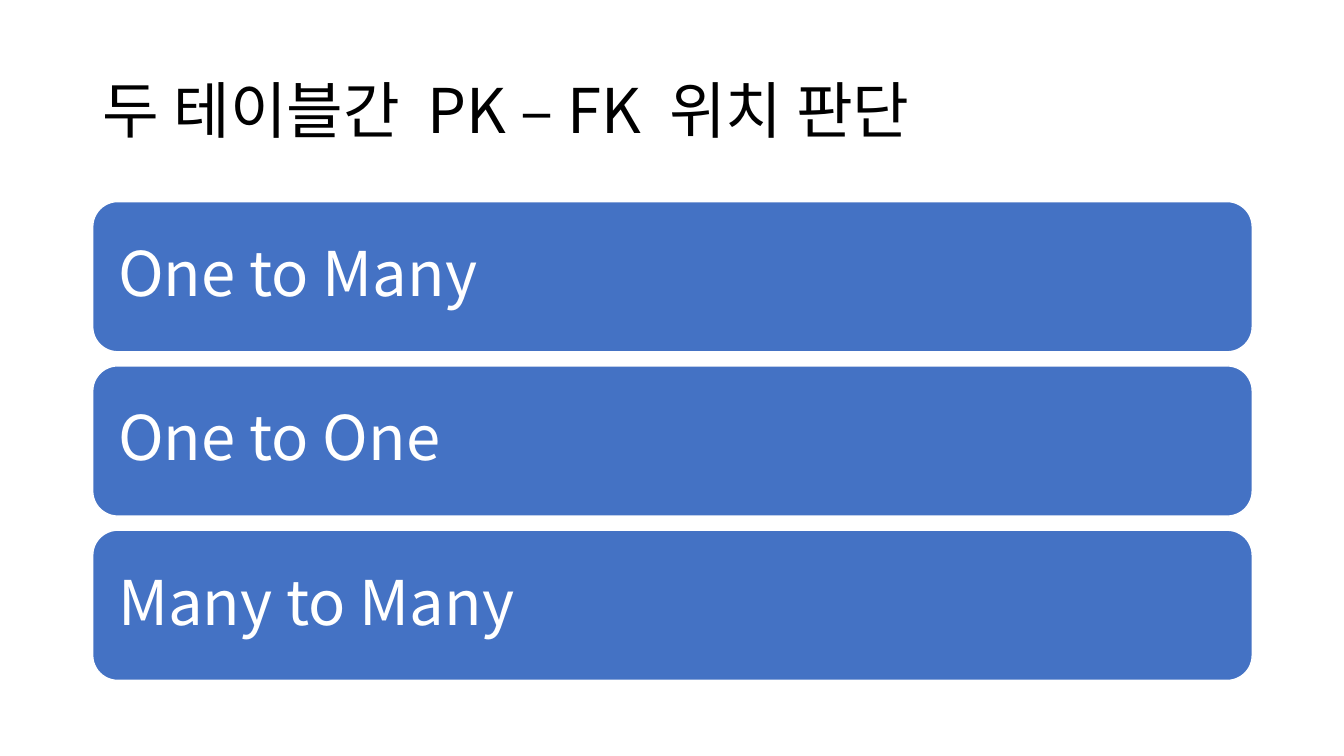
from pptx import Presentation
from pptx.dml.color import RGBColor
from pptx.enum.shapes import MSO_SHAPE
from pptx.enum.text import MSO_ANCHOR, PP_ALIGN
from pptx.oxml.ns import qn
from pptx.util import Inches, Pt
from lxml import etree

ROUNDED = MSO_SHAPE.ROUNDED_RECTANGLE
MIDDLE = MSO_ANCHOR.MIDDLE
LEFT = PP_ALIGN.LEFT

COLORS = {"text": "000000", "bar": "4472C4", "white": "FFFFFF"}
RELATIONS = ["One to Many", "One to One", "Many to Many"]
MARGIN, CONTENT_WIDTH = 0.92, 11.5
BAR_TOP, BAR_HEIGHT, BAR_PITCH = 2, 1.49, 1.63


class SlideBuilder:
    font = "Noto Sans CJK KR"
    size = 44

    def __init__(self, prs):
        self.slide = prs.slides.add_slide(prs.slide_layouts[5])

    def color(self, name):
        return RGBColor.from_string(COLORS[name])

    def set_text(self, sp, text, color):
        tf = sp.text_frame
        tf.text = text
        tf.word_wrap = True
        tf.vertical_anchor = MIDDLE
        p = tf.paragraphs[0]
        p.alignment = LEFT
        p.line_spacing = 0.9
        r = p.runs[0]
        r.font.name = self.font
        r.font.size = Pt(self.size)
        r.font.color.rgb = self.color(color)
        etree.SubElement(r._r.get_or_add_rPr(), qn("a:ea"), typeface=self.font)

    def title(self, text, left, top, width, height):
        sp = self.slide.shapes.title
        sp.left, sp.top = Inches(left), Inches(top)
        sp.width, sp.height = Inches(width), Inches(height)
        self.set_text(sp, text, "text")

    def bar(self, text, left, top, width, height):
        sp = self.slide.shapes.add_shape(
            ROUNDED, Inches(left), Inches(top), Inches(width), Inches(height))
        sp.shadow.inherit = False
        sp.fill.solid()
        sp.fill.fore_color.rgb = self.color("bar")
        sp.line.color.rgb = self.color("white")
        sp.line.width = Pt(1)
        tf = sp.text_frame
        tf.margin_left = tf.margin_right = Inches(0.18)
        tf.margin_top = tf.margin_bottom = Inches(0.18)
        self.set_text(sp, text, "white")


def main():
    prs = Presentation()
    prs.slide_width, prs.slide_height = Inches(13.33), Inches(7.5)
    s = SlideBuilder(prs)
    s.title("두 테이블간  PK – FK  위치 판단", MARGIN, 0.4, CONTENT_WIDTH, 1.45)
    for i, relation in enumerate(RELATIONS):
        s.bar(relation, MARGIN, BAR_TOP + i * BAR_PITCH, CONTENT_WIDTH, BAR_HEIGHT)
    prs.save("out.pptx")


if __name__ == "__main__":
    main()
